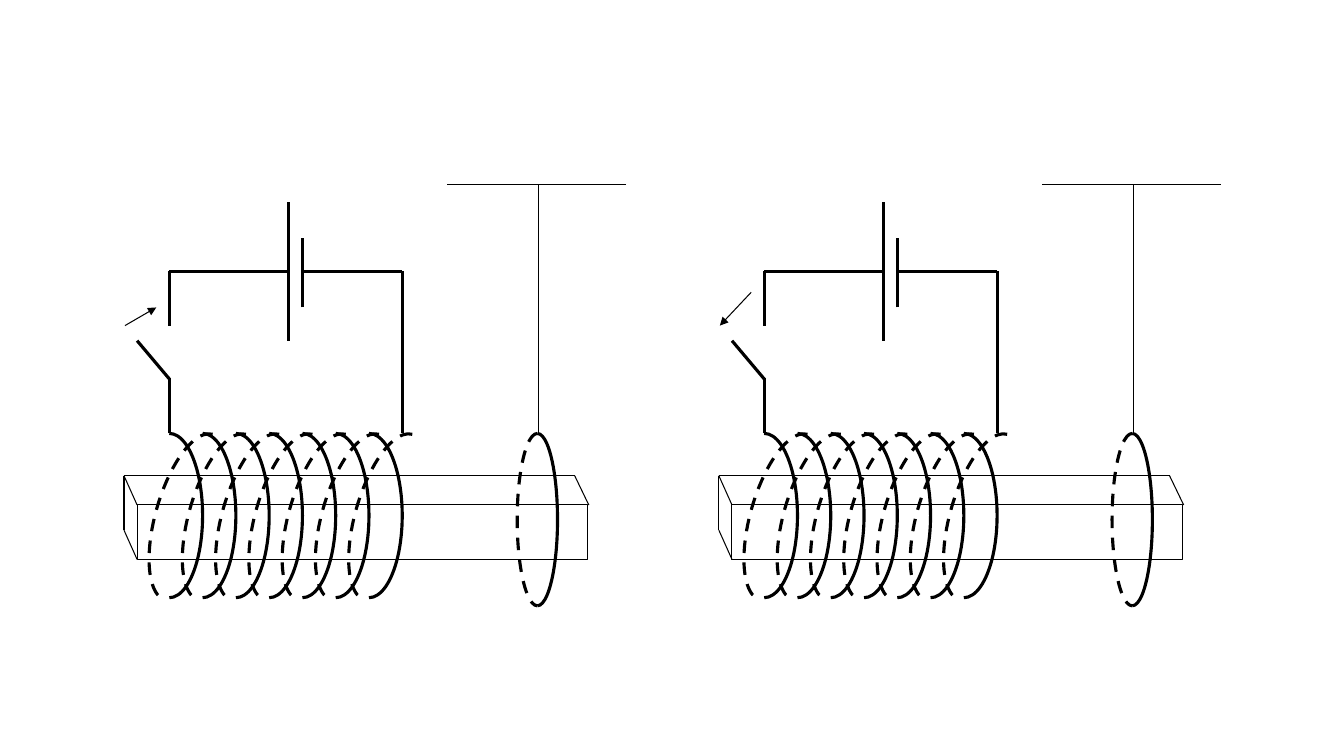
from lxml import etree
from pptx import Presentation
from pptx.dml.color import RGBColor
from pptx.enum.dml import MSO_LINE_DASH_STYLE as DASH
from pptx.enum.shapes import MSO_CONNECTOR as CONN, MSO_SHAPE as SHAPE
from pptx.oxml.ns import qn
from pptx.util import Inches, Pt

COLORS = {"ink": "000000"}
THIN, THICK = 0.75, 2.25
SETUP_PITCH = 5.9
TURNS, TURN_PITCH = 7, 0.33
DEGREE = 60000  # angle units in DrawingML


def style_line(sp, weight, dash=None):
    sp.line.color.rgb = RGBColor.from_string(COLORS["ink"])
    sp.line.width = Pt(weight)
    if dash:
        sp.line.dash_style = dash


def half_loop(shapes, x, top, rx, height, side, rotation=0):
    """Half ellipse from top to bottom: side 1 is the front, -1 the dashed back."""
    ry = height / 2
    fb = shapes.build_freeform(Inches(x), Inches(top))
    fb.add_line_segments([(Inches(x + side * rx), Inches(top + ry)),
                          (Inches(x), Inches(top + height))], close=False)
    sp = fb.convert_to_shape()

    # Replace the two straight segments with one smooth arc
    outline = next(sp._element.iter(qn("a:path")))
    for segment in outline.findall(qn("a:lnTo")):
        outline.remove(segment)
    etree.SubElement(outline, qn("a:arcTo"), wR=str(Inches(rx)), hR=str(Inches(ry)),
                     stAng=str(270 * DEGREE), swAng=str(side * 180 * DEGREE))

    sp.rotation = rotation
    sp.fill.background()
    sp.shadow.inherit = False
    style_line(sp, THICK, DASH.DASH if side < 0 else None)


prs = Presentation()
prs.slide_width, prs.slide_height = Inches(13.33), Inches(7.5)
s = prs.slides.add_slide(prs.slide_layouts[6])

# Lines of one setup: x1, y1, x2, y2
core_edges = [
    (1.36, 5.01, 1.23, 4.72), (1.23, 4.72, 5.7, 4.72), (5.84, 5.01, 5.7, 4.72),
    (1.36, 5.55, 1.23, 5.26), (1.23, 4.72, 1.23, 5.26),
]
suspension = [(5.34, 4.3, 5.34, 1.83), (6.21, 1.83, 4.43, 1.83)]
battery = [(2.86, 3.38, 2.86, 2), (3, 3.05, 3, 2.36)]
wires = [
    (1.68, 4.3, 1.68, 3.75), (1.68, 3.23, 1.68, 2.69), (1.68, 2.69, 2.86, 2.69),
    (3, 2.69, 3.99, 2.69), (3.99, 4.3, 3.99, 2.69),
]
open_switch = [(1.68, 3.76, 1.36, 3.38)]

# The switch closes in the first setup and opens in the second
switch_arrows = [(1.24, 3.23, 1.55, 3.05), (1.55, 2.9, 1.24, 3.23)]

for n, arrow in enumerate(switch_arrows):
    dx = n * SETUP_PITCH
    shapes = s.shapes.add_group_shape().shapes

    # Coil
    for i in range(TURNS):
        x = dx + i * TURN_PITCH
        half_loop(shapes, 1.68 + x, 4.3, 0.33, 1.63, 1)
        half_loop(shapes, 1.88 + x, 4.23, 0.33, 1.71, -1, rotation=16)

    # Hanging ring
    for side in (1, -1):
        half_loop(shapes, 5.33 + dx, 4.3, 0.2, 1.71, side)

    # Front face of the core
    sp = shapes.add_shape(SHAPE.RECTANGLE, Inches(1.36 + dx), Inches(5.01),
                          Inches(4.47), Inches(0.54))
    sp.fill.background()
    sp.shadow.inherit = False
    style_line(sp, THIN)

    # Core edges, suspension, circuit and switch arrow
    for weight, lines in ((THIN, core_edges + suspension),
                          (THICK, wires + battery + open_switch),
                          (THIN, [arrow])):
        for x1, y1, x2, y2 in lines:
            sp = shapes.add_connector(CONN.STRAIGHT, Inches(x1 + dx), Inches(y1),
                                      Inches(x2 + dx), Inches(y2))
            style_line(sp, weight)
            etree.SubElement(sp._element.spPr, qn("a:effectLst"))
    # The arrow is the last connector drawn
    etree.SubElement(sp._element.spPr.find(qn("a:ln")), qn("a:tailEnd"), type="triangle")

prs.save("out.pptx")
